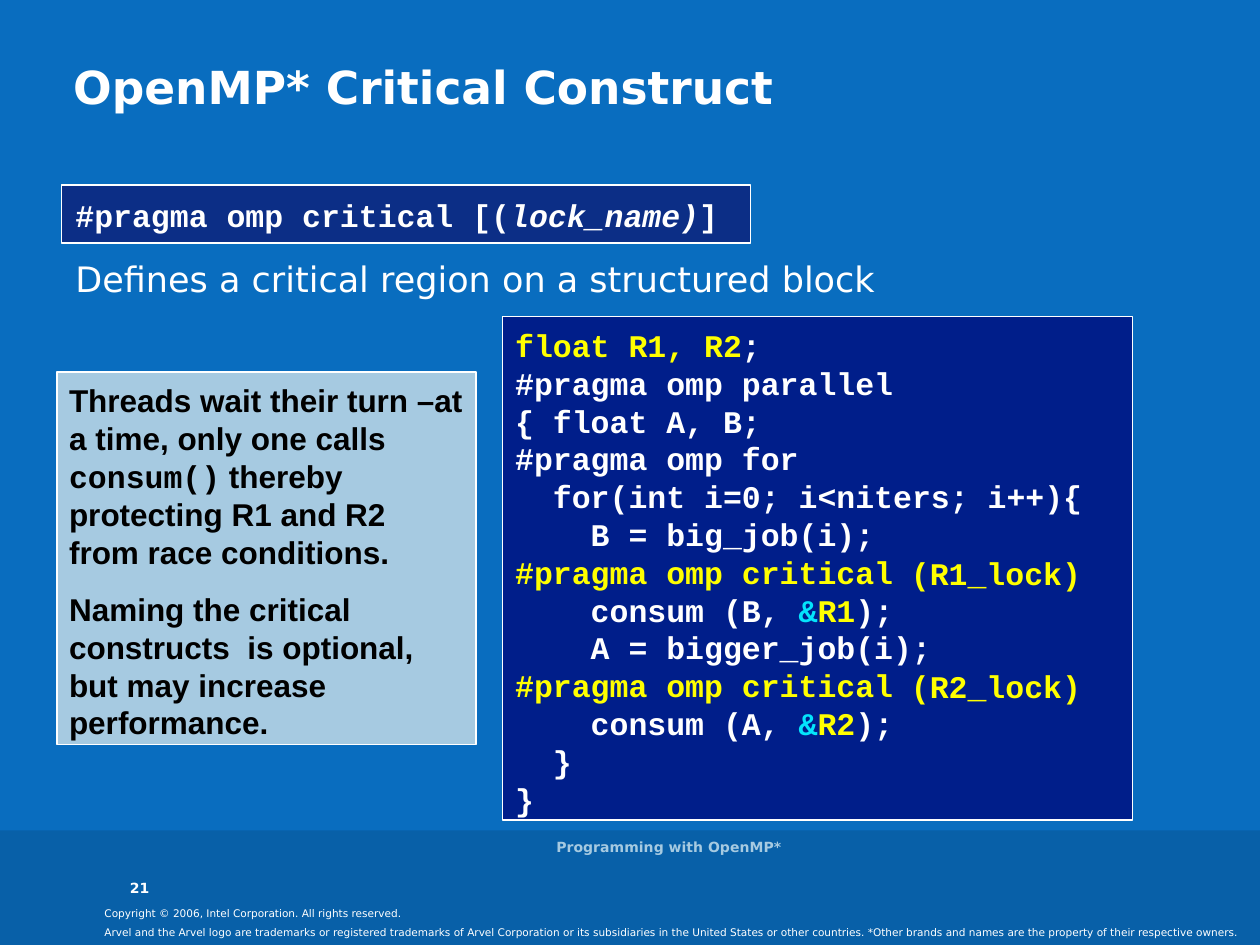
from pptx import Presentation
from pptx.dml.color import RGBColor
from pptx.enum.shapes import MSO_SHAPE as Shape
from pptx.enum.text import MSO_ANCHOR as Anchor, PP_ALIGN as Align
from pptx.util import Pt

WHITE = "FFFFFF"
YELLOW = "FFFF00"
CYAN = "04E4FC"
PALE_BLUE = "A6CAE1"
SANS = "DejaVu Sans"
MONO = "Courier New"
CODE_PITCH = 21.6
PADDING = (7.2, 3.6, 7.2, 3.6)
CODE_PADDING = (7.2, 5.6, 7.2, 1.6)


def color(value):
    return RGBColor.from_string(value)


def add_panel(slide, box, fill, line_width=None):
    shape = slide.shapes.add_shape(Shape.RECTANGLE, *map(Pt, box))
    shape.shadow.inherit = False
    shape.fill.solid()
    shape.fill.fore_color.rgb = color(fill)
    if line_width:
        shape.line.color.rgb = color(WHITE)
        shape.line.width = Pt(line_width)
    else:
        shape.line.fill.background()
    return shape


def set_frame(shape, padding=(0, 0, 0, 0), anchor=Anchor.TOP, wrap=True):
    frame = shape.text_frame
    frame.word_wrap = wrap
    frame.vertical_anchor = anchor
    (frame.margin_left, frame.margin_top,
     frame.margin_right, frame.margin_bottom) = map(Pt, padding)
    return frame


def write(frame, paragraphs, size, font=SANS, ink=WHITE, bold=False,
          align=Align.LEFT, spacing=None, gap=0):
    for index, runs in enumerate(paragraphs):
        paragraph = frame.paragraphs[0] if index == 0 else frame.add_paragraph()
        paragraph.alignment = align
        if spacing:
            paragraph.line_spacing = spacing
        if index and gap:
            paragraph.space_before = Pt(gap)
        for text, changes in runs:
            run = paragraph.add_run()
            run.text = text
            run.font.size = Pt(changes.get("size", size))
            run.font.name = changes.get("font", font)
            run.font.bold = changes.get("bold", bold)
            run.font.italic = changes.get("italic", False)
            run.font.color.rgb = color(changes.get("ink", ink))


def add_label(slide, box, text, size, padding=(0, 0, 0, 0),
              anchor=Anchor.TOP, **style):
    frame = set_frame(slide.shapes.add_textbox(*map(Pt, box)), padding, anchor)
    write(frame, [[(text, {})]], size, **style)


def add_footer(slide, left, top, width, height):
    add_panel(slide, (left, top, width, height), "0860A8")
    add_label(slide, (left + 52.6, top + 41, 519, 14.4),
              "Copyright © 2006, Intel Corporation. All rights reserved.",
              6, PADDING, spacing=0.95)
    add_label(slide, (left + 52.6, top + 51.1, 667.4, 14.4),
              "Arvel and the Arvel logo are trademarks or registered trademarks "
              "of Arvel Corporation or its subsidiaries in the United States or "
              "other countries. *Other brands and names are the property of "
              "their respective owners.", 6, PADDING)
    add_label(slide, (left + 74.2, top + 13.7, 32.4, 23.8), "21", 8,
              anchor=Anchor.BOTTOM, bold=True)
    add_label(slide, (left + 238.3, top - 2.2, 288, 23.8),
              "Programming with OpenMP*", 8, anchor=Anchor.MIDDLE,
              ink=PALE_BLUE, bold=True, align=Align.CENTER)


def add_definition(slide, left, top, width, height):
    add_panel(slide, (left, top, 393.8, 33.1), "0C2E86", 0.75)
    textbox = slide.shapes.add_textbox(
        Pt(left + 0.7), Pt(top + 2.2), Pt(width), Pt(height))
    syntax = [("#pragma omp critical [(", {}), ("lock_name)", {"italic": True}),
              ("]", {})]
    meaning = [("Defines a critical region on a structured block",
                {"size": 20, "font": SANS, "bold": False})]
    write(set_frame(textbox, CODE_PADDING), [syntax, meaning], 18, MONO,
          bold=True, spacing=0.94, gap=15)


def critical_call(value, result):
    return [[("#pragma omp critical", {"ink": YELLOW})],
            [(f"    consum ({value},", {}), (" &", {"ink": CYAN}),
             (result, {"ink": YELLOW}), (");", {})]]


def plain_lines(*lines):
    return [[(line, {})] for line in lines]


def add_code(slide, left, top, width, height):
    panel = add_panel(slide, (left, top, width, height), "001E8A", 0.75)
    code = [
        [("float R1, R2", {"ink": YELLOW}), (";", {})],
        *plain_lines("#pragma omp parallel", "{ float A, B;", "#pragma omp for",
                     "  for(int i=0; i<niters; i++){", "    B = big_job(i);"),
        *critical_call("B", "R1"),
        *plain_lines("    A = bigger_job(i);"),
        *critical_call("A", "R2"),
        *plain_lines("  }", "}"),
    ]
    write(set_frame(panel, CODE_PADDING, wrap=False), code, 18, MONO,
          bold=True, spacing=Pt(CODE_PITCH))


def add_lock_names(slide, left, top, width, height):
    textbox = slide.shapes.add_textbox(*map(Pt, (left, top, width, height)))
    write(set_frame(textbox, CODE_PADDING, wrap=False),
          plain_lines("(R1_lock)", "(R2_lock)"), 18, MONO, YELLOW, True,
          spacing=Pt(CODE_PITCH), gap=2 * CODE_PITCH)


def add_explanation(slide, left, top, width, height):
    panel = add_panel(slide, (left, top, width, height), PALE_BLUE, 1)
    turns = [("Threads wait their turn –at a time, only one calls ", {}),
             ("consum()", {"font": MONO}),
             (" thereby protecting R1 and R2 from race conditions.", {})]
    naming = [("Naming the critical constructs  is optional, "
               "but may increase performance.", {})]
    write(set_frame(panel, CODE_PADDING), [turns, naming], 18, "Arial",
          "000000", True, spacing=Pt(CODE_PITCH), gap=11.2)


def main():
    presentation = Presentation()
    presentation.slide_width, presentation.slide_height = Pt(720), Pt(540)
    slide = presentation.slides.add_slide(presentation.slide_layouts[6])
    slide.background.fill.solid()
    slide.background.fill.fore_color.rgb = color("096DBF")
    add_footer(slide, 0, 474.5, 720, 65.5)
    add_definition(slide, 35.3, 105.8, 607.7, 69.1)
    add_label(slide, (41.8, 31.7, 648.7, 31), "OpenMP* Critical Construct", 26,
              padding=(0, 2, 0, 0), bold=True)
    add_code(slide, 287.3, 180.7, 360, 288)
    add_explanation(slide, 32.4, 212.4, 239.8, 213.1)
    add_lock_names(slide, 513.4, 311, 111.6, 93.6)
    presentation.save("out.pptx")


if __name__ == "__main__":
    main()
